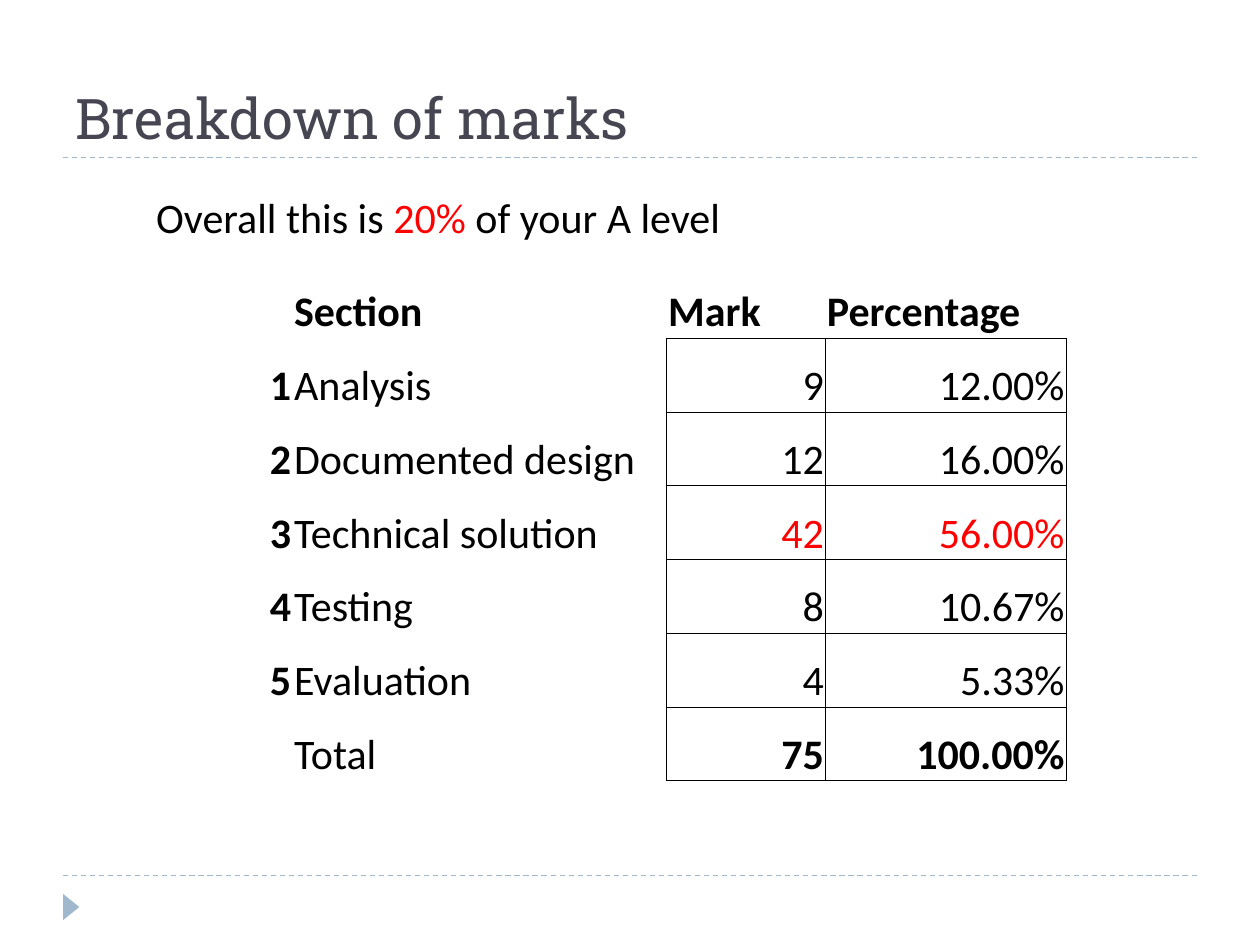
from dataclasses import dataclass

from lxml.etree import SubElement
from pptx import Presentation
from pptx.dml.color import RGBColor
from pptx.enum.dml import MSO_LINE
from pptx.enum.shapes import MSO_CONNECTOR, MSO_SHAPE
from pptx.enum.text import MSO_ANCHOR, PP_ALIGN
from pptx.oxml.ns import qn
from pptx.util import Cm, Pt


@dataclass(frozen=True)
class Theme:
    title_font: str = "Roboto Slab"
    body_font: str = "Calibri"
    title_size: int = 32
    body_size: int = 24
    title: str = "464653"
    text: str = "000000"
    highlight: str = "FF0000"
    accent: str = "9FB8CD"


@dataclass(frozen=True)
class Box:
    """A region of the page, in centimetres."""
    left: float
    top: float
    width: float
    height: float

    def lengths(self):
        return Cm(self.left), Cm(self.top), Cm(self.width), Cm(self.height)


THEME = Theme()
COLUMN_WIDTHS = (3.2, 7.54, 3.2, 4.85)
MARKS = (
    ("", "Section", "Mark", "Percentage"),
    ("1", "Analysis", "9", "12.00%"),
    ("2", "Documented design", "12", "16.00%"),
    ("3", "Technical solution", "42", "56.00%"),
    ("4", "Testing", "8", "10.67%"),
    ("5", "Evaluation", "4", "5.33%"),
    ("", "Total", "75", "100.00%"),
)
TOTAL_ROW = len(MARKS) - 1
HIGHLIGHT_ROW = 3
NUMBER_COLUMN, SECTION_COLUMN, MARK_COLUMN = 0, 1, 2


def style_span(span, color=THEME.text, font=THEME.body_font, size=THEME.body_size, bold=False):
    span.font.name = font
    span.font.size = Pt(size)
    span.font.bold = bold
    span.font.color.rgb = RGBColor.from_string(color)


def add_rule(page, left, top, width):
    rule = page.shapes.add_connector(
        MSO_CONNECTOR.STRAIGHT, Cm(left), Cm(top), Cm(left + width), Cm(top))
    rule.line.color.rgb = RGBColor.from_string(THEME.accent)
    rule.line.width = Pt(0.75)
    rule.line.dash_style = MSO_LINE.DASH
    SubElement(rule._element.spPr, qn("a:effectLst"))


def add_title(page, box, text):
    title = page.shapes.add_textbox(*box.lengths())
    frame = title.text_frame
    frame.word_wrap = True
    frame.vertical_anchor = MSO_ANCHOR.BOTTOM
    frame.text = text
    style_span(frame.paragraphs[0].runs[0], THEME.title, THEME.title_font, THEME.title_size)
    add_rule(page, box.left, box.top + box.height, box.width)


def add_footer(page, box):
    add_rule(page, box.left, box.top, box.width)
    length, breadth = 0.53, 0.33
    marker = page.shapes.add_shape(
        MSO_SHAPE.ISOSCELES_TRIANGLE,
        Cm(box.left + (breadth - length) / 2),
        Cm(box.top + box.height - (length + breadth) / 2),
        Cm(length), Cm(breadth))
    marker.rotation = 90
    marker.shadow.inherit = False
    marker.fill.solid()
    marker.fill.fore_color.rgb = RGBColor.from_string(THEME.accent)
    marker.line.fill.background()


def add_summary(page, box):
    frame = page.shapes.add_textbox(*box.lengths()).text_frame
    frame.word_wrap = True
    para = frame.paragraphs[0]
    for text, color in (("Overall this is ", THEME.text),
                        ("20%", THEME.highlight),
                        (" of your A level", THEME.text)):
        span = para.add_run()
        span.text = text
        style_span(span, color)


def is_framed(row, column):
    return 0 < row < len(MARKS) and MARK_COLUMN <= column < len(COLUMN_WIDTHS)


def set_borders(cell, row, column):
    """Draw each edge that touches a framed cell and clear the others."""
    neighbours = {"a:lnL": (row, column - 1), "a:lnR": (row, column + 1),
                  "a:lnT": (row - 1, column), "a:lnB": (row + 1, column)}
    properties = cell._tc.get_or_add_tcPr()
    for tag, neighbour in neighbours.items():
        edge = SubElement(properties, qn(tag), w=str(Pt(0.5)))
        if is_framed(row, column) or is_framed(*neighbour):
            fill = SubElement(edge, qn("a:solidFill"))
            SubElement(fill, qn("a:srgbClr"), val=THEME.text)
        else:
            SubElement(edge, qn("a:noFill"))


def fill_cell(cell, row, column, text):
    set_borders(cell, row, column)
    cell.fill.background()
    cell.vertical_anchor = MSO_ANCHOR.BOTTOM
    cell.margin_left = cell.margin_right = cell.margin_top = Cm(0.03)
    cell.margin_bottom = 0
    if not text:
        return
    cell.text_frame.text = text
    para = cell.text_frame.paragraphs[0]
    if row > 0 and column != SECTION_COLUMN:
        para.alignment = PP_ALIGN.RIGHT
    highlighted = row == HIGHLIGHT_ROW and column >= MARK_COLUMN
    bold = (row == 0 or column == NUMBER_COLUMN
            or (row == TOTAL_ROW and column >= MARK_COLUMN))
    style_span(para.runs[0], THEME.highlight if highlighted else THEME.text, bold=bold)


def add_marks_table(page, box):
    table = page.shapes.add_table(len(MARKS), len(COLUMN_WIDTHS), *box.lengths()).table
    table.first_row = table.horz_banding = False
    for column, width in zip(table.columns, COLUMN_WIDTHS):
        column.width = Cm(width)
    for row, values in enumerate(MARKS):
        table.rows[row].height = Cm(box.height / len(MARKS))
        for column, text in enumerate(values):
            fill_cell(table.cell(row, column), row, column, text)


def main():
    deck = Presentation()
    deck.slide_width, deck.slide_height = Cm(25.4), Cm(19.05)
    page = deck.slides.add_slide(deck.slide_layouts[6])
    add_footer(page, Box(1.27, 17.65, 22.86, 0.9))
    add_title(page, Box(1.27, 0.43, 22.86, 2.74), "Breakdown of marks")
    add_marks_table(page, Box(2.7, 5.33, sum(COLUMN_WIDTHS), 10.41))
    add_summary(page, Box(2.9, 3.73, 15.01, 1.27))
    deck.save("out.pptx")


if __name__ == "__main__":
    main()
